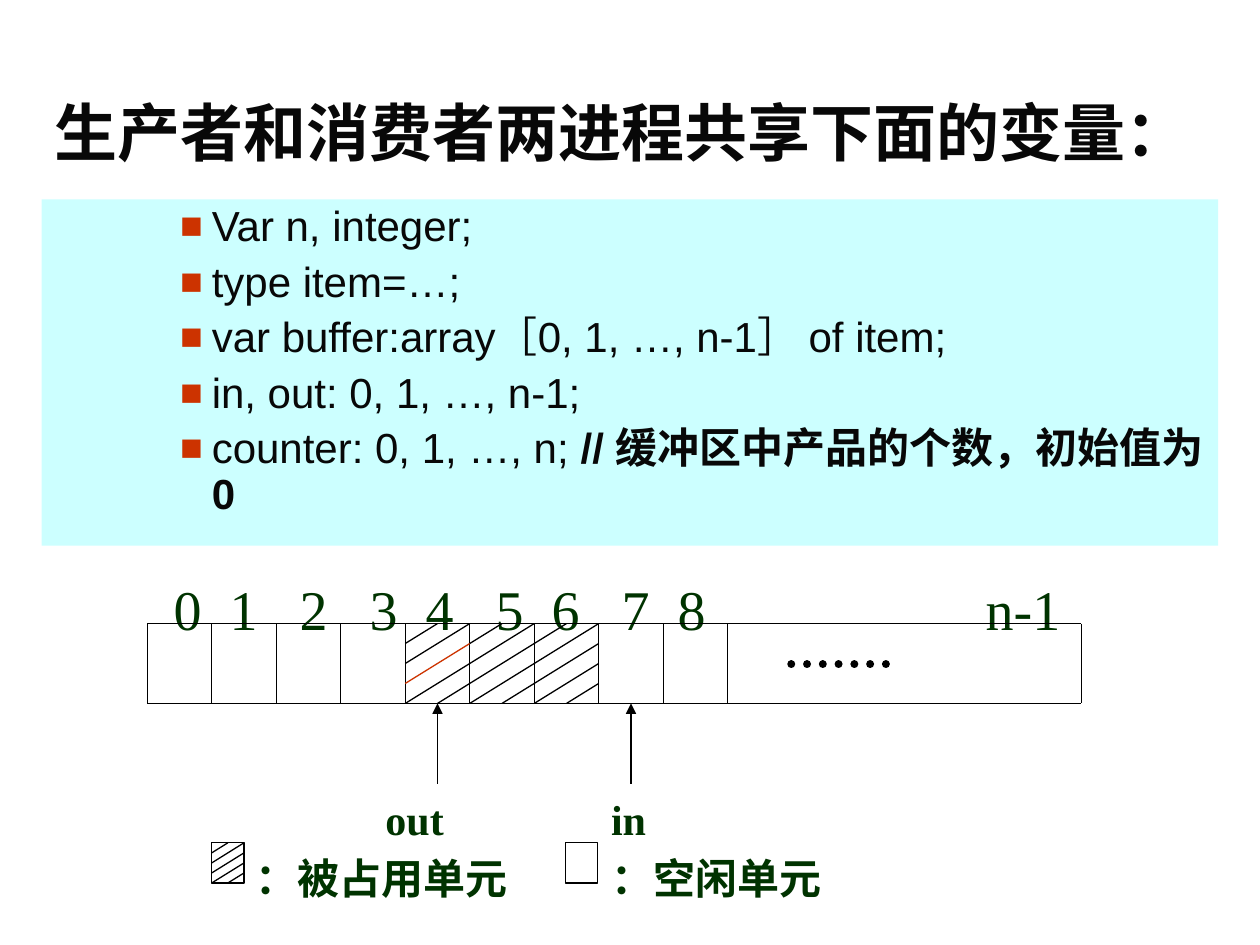
from dataclasses import dataclass

from lxml.etree import SubElement
from pptx import Presentation
from pptx.dml.color import RGBColor
from pptx.enum.dml import MSO_LINE
from pptx.enum.shapes import MSO_CONNECTOR, MSO_SHAPE
from pptx.enum.text import MSO_ANCHOR, PP_ALIGN
from pptx.oxml.ns import qn
from pptx.util import Cm, Pt


@dataclass(frozen=True)
class Theme:
    ink: RGBColor = RGBColor.from_string("080808")
    label: RGBColor = RGBColor.from_string("003300")
    accent: RGBColor = RGBColor.from_string("CC3300")
    panel: RGBColor = RGBColor.from_string("CCFFFF")
    line: RGBColor = RGBColor.from_string("000000")
    sans: str = "Arial"
    serif: str = "Times New Roman"
    title_size: Pt = Pt(36)
    index_size: Pt = Pt(32)
    text_size: Pt = Pt(24)
    thin: Pt = Pt(0.75)
    dots: Pt = Pt(4.5)


theme = Theme()
deck = Presentation()
deck.slide_width, deck.slide_height = Cm(25.4), Cm(19.05)
page = deck.slides.add_slide(deck.slide_layouts[6])


def add_line(x1, y1, x2, y2, color=theme.line):
    line = page.shapes.add_connector(
        MSO_CONNECTOR.STRAIGHT, Cm(x1), Cm(y1), Cm(x2), Cm(y2))
    line.line.color.rgb = color
    line.line.width = theme.thin
    SubElement(line._element.spPr, qn("a:effectLst"))
    return line


def add_label(text, left, top, width, height, size):
    box = page.shapes.add_textbox(Cm(left), Cm(top), Cm(width), Cm(height))
    frame = box.text_frame
    frame.word_wrap = True
    frame.margin_top = Cm(0.2)
    frame.text = text
    para = frame.paragraphs[0]
    para.alignment = PP_ALIGN.JUSTIFY
    font = para.runs[0].font
    font.name, font.size, font.color.rgb = theme.serif, size, theme.label
    font.bold = size == theme.text_size
    return box


# Title
title = page.shapes.add_textbox(Cm(0.84), Cm(1.07), Cm(23.72), Cm(3.17))
title.text_frame.word_wrap = True
title.text_frame.vertical_anchor = MSO_ANCHOR.MIDDLE
title.text_frame.text = "生产者和消费者两进程共享下面的变量："
title_font = title.text_frame.paragraphs[0].runs[0].font
title_font.name, title_font.size, title_font.bold = theme.sans, theme.title_size, True
title_font.color.rgb = theme.ink

# Panel with the shared variables
panel = page.shapes.add_shape(
    MSO_SHAPE.RECTANGLE, Cm(0.84), Cm(4.02), Cm(23.72), Cm(6.98))
panel.shadow.inherit = False
panel.fill.solid()
panel.fill.fore_color.rgb = theme.panel
panel.line.fill.background()
panel.text_frame.word_wrap = True
panel.text_frame.vertical_anchor = MSO_ANCHOR.TOP
panel.text_frame.text = "\n".join([
    "Var n, integer;",
    "type item=…;",
    "var buffer:array［0, 1, …, n-1］ of item;",
    "in, out: 0, 1, …, n-1;",
    "counter: 0, 1, …, n; ",
])
comment = panel.text_frame.paragraphs[-1].add_run()
comment.text = "// 缓冲区中产品的个数，初始值为0"
for para in panel.text_frame.paragraphs:
    para.level = 2
    para.alignment = PP_ALIGN.LEFT
    para.line_spacing = 0.9
    para.space_before = Pt(5.8)
    props = para._p.get_or_add_pPr()
    props.set("marL", str(Cm(3.18)))
    props.set("indent", str(Cm(-0.64)))
    bullet_color = SubElement(props, qn("a:buClr"))
    SubElement(bullet_color, qn("a:srgbClr"), val=str(theme.accent))
    SubElement(props, qn("a:buSzPct"), val="90000")
    SubElement(props, qn("a:buFont"), typeface=theme.sans)
    SubElement(props, qn("a:buChar"), char="■")
    for span in para.runs:
        span.font.name, span.font.size = theme.sans, theme.text_size
        span.font.color.rgb = theme.ink
comment.font.bold = True

# Cell numbers, set on tab stops
numbers = add_label("\t".join([*"012345678", "n-1"]),
                    2.97, 11.38, 18.85, 1.22, theme.index_size)
numbers.text_frame.margin_left = Cm(0.53)
tab_list = SubElement(numbers.text_frame.paragraphs[0]._p.get_or_add_pPr(),
                      qn("a:tabLst"))
for stop in (1.13, 2.54, 3.95, 5.08, 6.49, 7.62, 9.03, 10.16, 16.37):
    SubElement(tab_list, qn("a:tab"), pos=str(Cm(stop)), algn="l")

# Buffer outline and cell borders
left, right, top, bottom = 2.97, 21.8, 12.57, 14.18
cell = 1.3
borders = [left + cell * index for index in range(10)]
for y in (top, bottom):
    add_line(left, y, right, y)
for x in (*borders, right):
    add_line(x, top, x, bottom)

# Dots for the cells left out
dots = add_line(15.95, 13.39, 17.91, 13.39)
dots.line.width = theme.dots
dots.line.dash_style = MSO_LINE.ROUND_DOT
dots.line._get_or_add_ln().set("cap", "rnd")

# Legend squares
legend_top, legend_width, legend_height = 16.99, 0.65, 0.81
legend_lefts = (4.27, 11.4)
for x in legend_lefts:
    square = page.shapes.add_shape(
        MSO_SHAPE.RECTANGLE, Cm(x), Cm(legend_top), Cm(legend_width), Cm(legend_height))
    square.shadow.inherit = False
    square.fill.background()
    square.line.color.rgb = theme.line
    square.line.width = theme.thin

# Hatching of the occupied cells and of the first legend square
hatched = [(borders[index], top, cell, bottom - top) for index in (4, 5, 6)]
hatched.append((legend_lefts[0], legend_top, legend_width, legend_height))
for x, y, width, height in hatched:
    middle, end, step = x + width / 2, x + width, height / 4
    add_line(middle, y, x, y + step)
    for row in range(3):
        marked = x == borders[4] and row == 1
        add_line(end, y + row * step, x, y + (row + 2) * step,
                 theme.accent if marked else theme.line)
    add_line(end, y + 3 * step, middle, y + height)

# Pointers to the out and in cells
for index in (4, 7):
    x = borders[index] + cell / 2
    pointer = add_line(x, 15.8, x, bottom)
    SubElement(pointer.line._get_or_add_ln(), qn("a:tailEnd"), type="triangle")

# Pointer names and legend texts
for text, x, y, width in (
    ("out", 7.52, 15.8, 2.59),
    ("in", 12.07, 15.8, 1.96),
    ("：被占用单元", 4.9, legend_top, 5.84),
    ("：空闲单元", 12.07, legend_top, 5.84),
):
    add_label(text, x, y, width, 1.19, theme.text_size)

deck.save("out.pptx")
